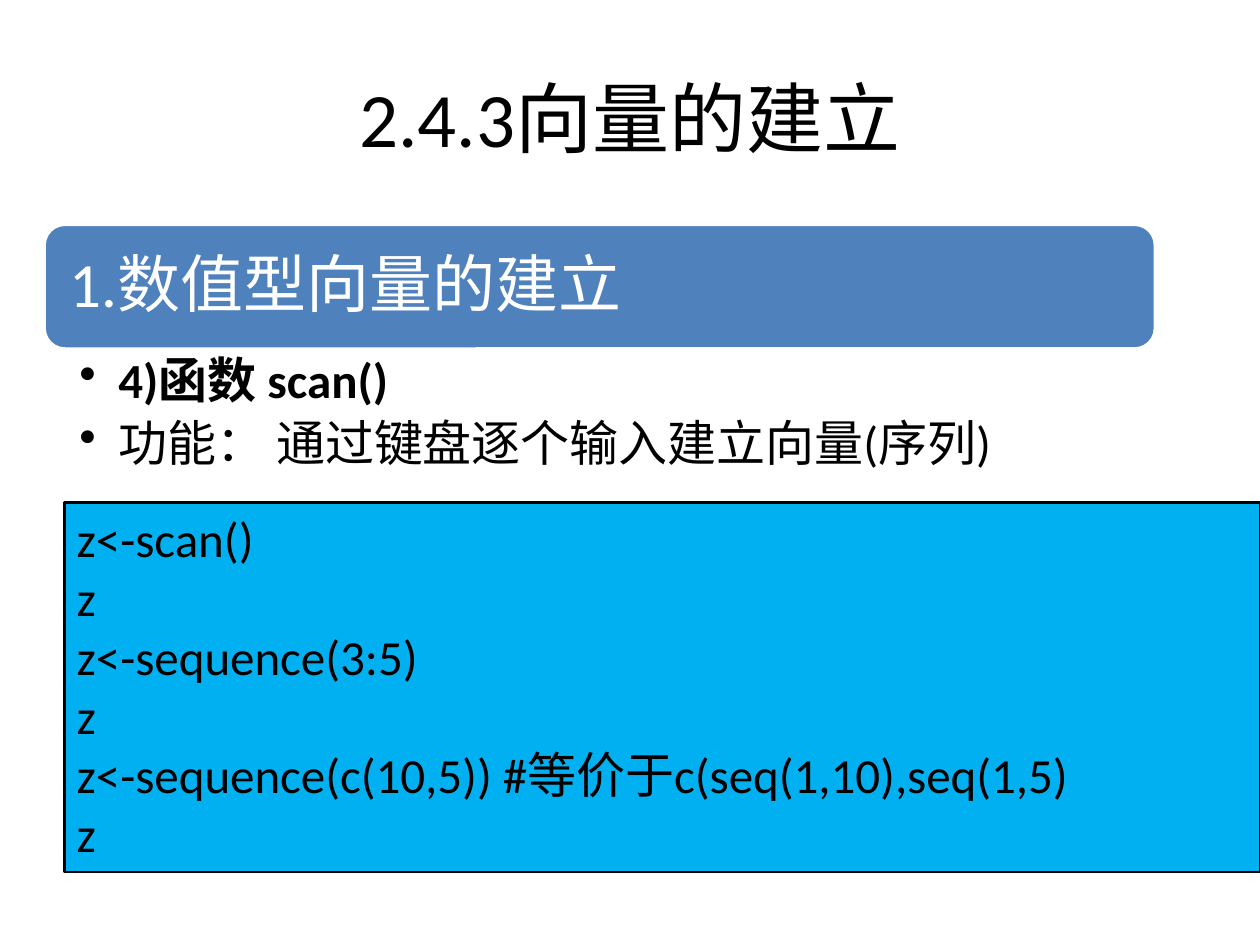
from dataclasses import dataclass

from lxml import etree
from pptx import Presentation
from pptx.dml.color import RGBColor
from pptx.enum.shapes import MSO_SHAPE
from pptx.enum.text import MSO_ANCHOR, PP_ALIGN
from pptx.oxml.ns import qn
from pptx.util import Inches, Pt


@dataclass(frozen=True)
class Theme:
    font: str = "Calibri"
    ink: str = "000000"
    paper: str = "FFFFFF"
    banner: str = "4F81BD"
    code: str = "00B0F0"
    title_size: int = 44
    heading_size: int = 36
    body_size: int = 28


class Deck:
    """Places elements on a grid of 100 columns by 75 rows."""

    COLUMNS, ROWS = 100, 75

    def __init__(self, theme):
        self.theme = theme
        self.file = Presentation()
        self.file.slide_width, self.file.slide_height = Inches(10), Inches(7.5)
        self.slide = self.file.slides.add_slide(self.file.slide_layouts[6])

    def place(self, left, top, width, height):
        column = self.file.slide_width / self.COLUMNS
        row = self.file.slide_height / self.ROWS
        return [round(n * unit) for n, unit in
                zip((left, top, width, height), (column, row, column, row))]

    def box(self, area, kind, fill, line, line_width):
        shape = self.slide.shapes.add_shape(kind, *self.place(*area))
        shape.shadow.inherit = False
        shape.fill.solid()
        shape.fill.fore_color.rgb = RGBColor.from_string(fill)
        shape.line.color.rgb = RGBColor.from_string(line)
        shape.line.width = Pt(line_width)
        return shape

    def label(self, area, lines, size, **style):
        shape = self.slide.shapes.add_textbox(*self.place(*area))
        self.set_text(shape, lines, size, **style)

    def set_text(self, shape, lines, size, color=None, align=PP_ALIGN.LEFT,
                 anchor=MSO_ANCHOR.TOP, insets=(0.1, 0.05), spacing=1.0,
                 after=0, bold_lines=(), bullet_indent=None):
        frame = shape.text_frame
        frame.word_wrap = True
        frame.vertical_anchor = anchor
        frame.margin_left = frame.margin_right = Inches(insets[0])
        frame.margin_top = frame.margin_bottom = Inches(insets[1])
        for i, text in enumerate(lines):
            paragraph = frame.paragraphs[0] if i == 0 else frame.add_paragraph()
            paragraph.alignment = align
            paragraph.line_spacing = spacing
            paragraph.space_after = Pt(after)
            run = paragraph.add_run()
            run.text = text
            run.font.name = self.theme.font
            run.font.size = Pt(size)
            run.font.bold = i in bold_lines
            run.font.color.rgb = RGBColor.from_string(color or self.theme.ink)
            if bullet_indent:
                self.bullet(paragraph, Inches(bullet_indent))

    def bullet(self, paragraph, indent):
        properties = paragraph._p.get_or_add_pPr()
        properties.set("marL", str(indent))
        properties.set("indent", str(-indent))
        etree.SubElement(properties, qn("a:buChar")).set("char", "•")


theme = Theme()
deck = Deck(theme)

# Title
deck.label((5, 3, 90, 12.5), ["2.4.3向量的建立"], theme.title_size,
           align=PP_ALIGN.CENTER, anchor=MSO_ANCHOR.MIDDLE)

# Section banner
deck.box((3.5, 17.8, 88.2, 9.9), MSO_SHAPE.ROUNDED_RECTANGLE,
         theme.banner, theme.paper, 2)
deck.label((4, 18.3, 87.2, 8.9), ["1.数值型向量的建立"], theme.heading_size,
           color=theme.paper, anchor=MSO_ANCHOR.MIDDLE,
           insets=(0.15, 0.15), spacing=0.9)

# Function and its purpose
deck.label((3.5, 27.8, 88.2, 11.2),
           ["4)函数 scan() ", "功能： 通过键盘逐个输入建立向量(序列)"],
           theme.body_size, insets=(0.28, 0.05), spacing=0.9, after=5.6,
           bold_lines=(0,), bullet_indent=0.31)

# Code example
code = deck.box((5.1, 39.9, 94.9, 29.3), MSO_SHAPE.RECTANGLE,
                theme.code, theme.ink, 1.5)
deck.set_text(code, ["z<-scan()", "z", "z<-sequence(3:5)", "z",
                     "z<-sequence(c(10,5)) #等价于c(seq(1,10),seq(1,5)", "z"],
              theme.body_size)

deck.file.save("out.pptx")
